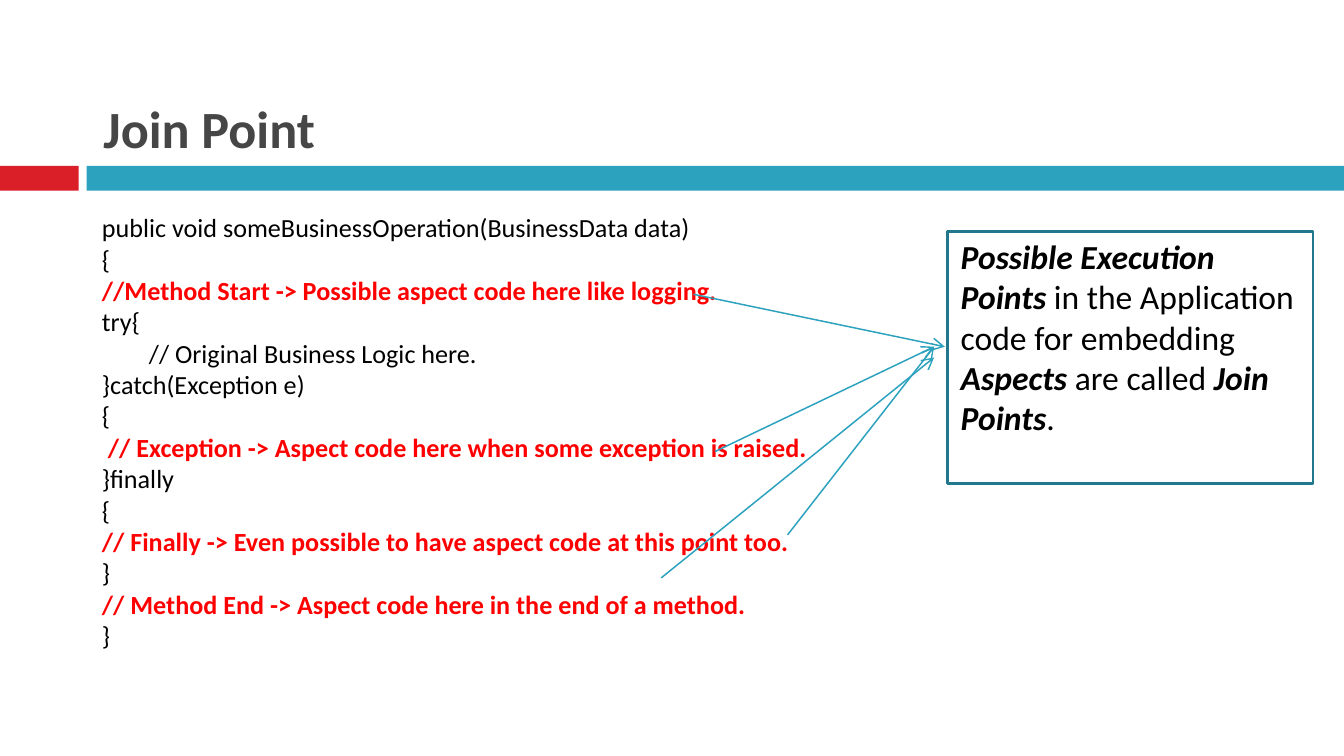
from lxml.etree import SubElement
from pptx import Presentation
from pptx.dml.color import RGBColor
from pptx.enum.shapes import MSO_CONNECTOR, MSO_SHAPE
from pptx.enum.text import MSO_ANCHOR, MSO_AUTO_SIZE, PP_ALIGN
from pptx.oxml.ns import qn
from pptx.util import Emu, Pt

EMU_PER_PX = 4572  # 200 px to the inch
FONT = "Calibri"
BLACK, WHITE, RED, TEAL = "000000", "FFFFFF", "FF0000", "2DA2BF"

# Each line: text, left indent in px, whether it marks a join point
CODE_LINES = [
    ("public void someBusinessOperation(BusinessData data)", 0, False),
    ("{", 0, False),
    ("//Method Start -> Possible aspect code here like logging.", 0, True),
    ("try{", 0, False),
    ("// Original Business Logic here.", 70, False),
    ("}catch(Exception e)", 0, False),
    ("{", 0, False),
    ("// Exception -> Aspect code here when some exception is raised.", 9, True),
    ("}finally", 0, False),
    ("{", 0, False),
    ("// Finally -> Even possible to have aspect code at this point too.", 0, True),
    ("}", 0, False),
    ("// Method End -> Aspect code here in the end of a method.", 0, True),
    ("}", 0, False),
]
# Each span: text, whether it is emphasised
DEFINITION = [
    ("Possible Execution Points ", True),
    ("in the Application code for embedding ", False),
    ("Aspects", True),
    (" are called ", False),
    ("Join Points", True),
    (".", False),
]
ARROWS = [
    ((1032, 438), (1406, 516)),
    ((1064, 672), (1390, 516)),
    ((1172, 796), (1390, 516)),
    ((984, 860), (1390, 532)),
]


def px(*lengths):
    return [Emu(length * EMU_PER_PX) for length in lengths]


def color(hex_string):
    return RGBColor.from_string(hex_string)


def format_span(span, size, fill=BLACK, bold=False, italic=False):
    span.font.name = FONT
    span.font.size = Pt(size)
    span.font.color.rgb = color(fill)
    span.font.bold = bold
    span.font.italic = italic


def add_title(page, text):
    title = page.shapes.title
    title.left, title.top, title.width, title.height = px(134, 26, 1866, 220)
    title.text_frame.text = text
    title.text_frame.vertical_anchor = MSO_ANCHOR.BOTTOM
    para = title.text_frame.paragraphs[0]
    para.alignment = PP_ALIGN.LEFT
    format_span(para.runs[0], 28, "464646", bold=True)


def add_box(page, bounds, fill, outline=None):
    box = page.shapes.add_shape(MSO_SHAPE.RECTANGLE, *px(*bounds))
    box.shadow.inherit = False
    box.fill.solid()
    box.fill.fore_color.rgb = color(fill)
    if outline:
        box.line.color.rgb = color(outline)
        box.line.width = Pt(1.5)
    else:
        box.line.fill.background()
    return box


def add_code(page, bounds, lines):
    frame = page.shapes.add_textbox(*px(*bounds)).text_frame
    frame.word_wrap = True
    frame.auto_size = MSO_AUTO_SIZE.SHAPE_TO_FIT_TEXT
    for number, (text, indent, is_join_point) in enumerate(lines):
        para = frame.add_paragraph() if number else frame.paragraphs[0]
        para.text = text
        para._p.get_or_add_pPr().set("marL", str(indent * EMU_PER_PX))
        format_span(para.runs[0], 14, RED if is_join_point else BLACK, bold=is_join_point)


def add_definition(page, bounds, spans):
    frame = add_box(page, bounds, WHITE, "21788D").text_frame
    frame.word_wrap = True
    frame.vertical_anchor = MSO_ANCHOR.TOP
    frame.margin_top, = px(7)
    para = frame.paragraphs[0]
    para.alignment = PP_ALIGN.LEFT
    for text, emphasised in spans:
        span = para.add_run()
        span.text = text
        format_span(span, 18, bold=emphasised, italic=emphasised)


def add_arrow(page, start, end):
    arrow = page.shapes.add_connector(MSO_CONNECTOR.STRAIGHT, *px(*start, *end))
    arrow.line.color.rgb = color(TEAL)
    arrow.line.width = Pt(0.79)
    SubElement(arrow.line._get_or_add_ln(), qn("a:tailEnd"), type="arrow")
    SubElement(arrow._element.spPr, qn("a:effectLst"))


def main():
    deck = Presentation()
    deck.slide_width, deck.slide_height = px(2000, 1125)
    page = deck.slides.add_slide(deck.slide_layouts.get_by_name("Title Only"))
    add_box(page, (0, 247, 117, 37), "DA1F28")
    add_box(page, (129, 247, 1871, 37), TEAL)
    add_title(page, "Join Point")
    add_code(page, (132, 305, 1242, 680), CODE_LINES)
    for start, end in ARROWS:
        add_arrow(page, start, end)
    add_definition(page, (1410, 344, 544, 376), DEFINITION)
    deck.save("out.pptx")


if __name__ == "__main__":
    main()
